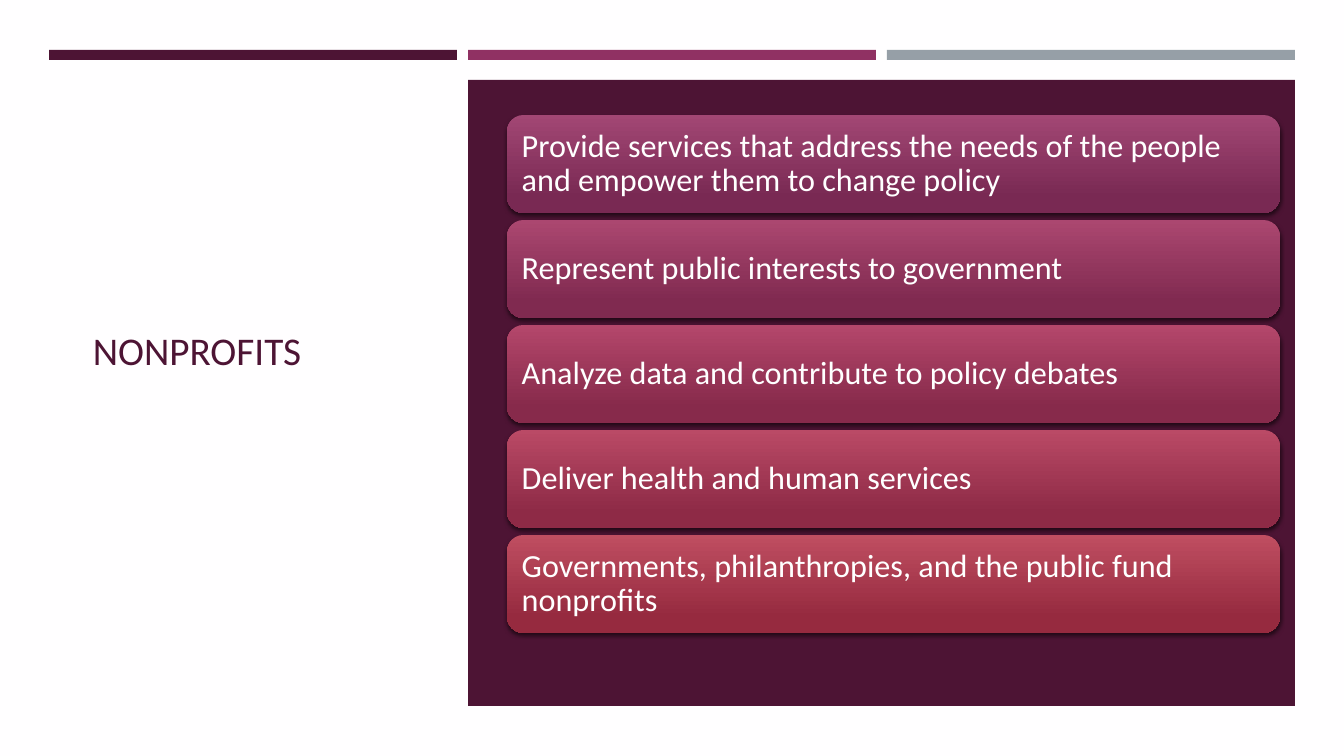
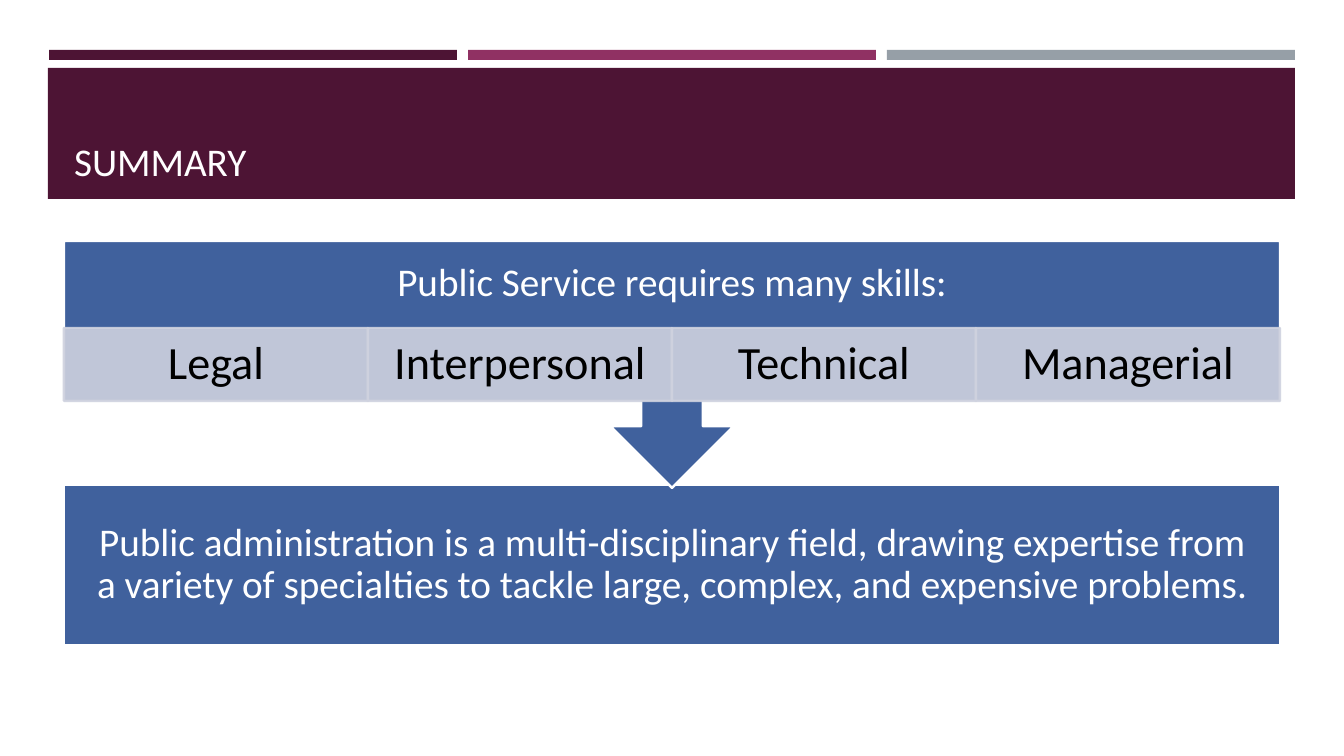
from lxml import etree
from pptx import Presentation
from pptx.dml.color import RGBColor
from pptx.enum.shapes import MSO_SHAPE
from pptx.enum.text import MSO_ANCHOR, MSO_AUTO_SIZE, PP_ALIGN
from pptx.oxml.ns import qn
from pptx.util import Pt

RECT = MSO_SHAPE.RECTANGLE
ROUND = MSO_SHAPE.ROUNDED_RECTANGLE
CALLOUT = MSO_SHAPE.DOWN_ARROW_CALLOUT
LEFT, CENTER = PP_ALIGN.LEFT, PP_ALIGN.CENTER
MIDDLE, BOTTOM = MSO_ANCHOR.MIDDLE, MSO_ANCHOR.BOTTOM
PX = 914400 / 100.8


class Theme:
    font = "Calibri"
    plum, rose, gray = "4D1434", "903163", "969FA7"
    blue, mist = "40619D", "CFD2DF"
    paper, white, black = "FFFEFF", "FFFFFF", "000000"
    tiles = [("A24774", "792953"), ("AB4770", "802A50"), ("B4476B", "872A4B"),
             ("BA4A66", "8E2A46"), ("BF4E61", "962A3F")]
    title, item, skill = 28, 23, 33
    line = 1.75


def box(slide, kind, place, fill, line=None):
    """Add a flat shape at (left, top, width, height) in px."""
    shape = slide.shapes.add_shape(kind, *[round(n * PX) for n in place])
    shape.shadow.inherit = False
    shape.fill.solid()
    shape.fill.fore_color.rgb = RGBColor.from_string(fill)
    if line:
        shape.line.color.rgb = RGBColor.from_string(line)
        shape.line.width = Pt(Theme.line)
    else:
        shape.line.fill.background()
    return shape


def write(shape, text, size, color, align=LEFT, anchor=MIDDLE, pad=(10, 5, 10, 5)):
    """Set one paragraph of text; pad is left, top, right, bottom in px."""
    frame = shape.text_frame
    frame.word_wrap = True
    frame.auto_size = MSO_AUTO_SIZE.NONE
    frame.vertical_anchor = anchor
    (frame.margin_left, frame.margin_top,
     frame.margin_right, frame.margin_bottom) = [round(n * PX) for n in pad]
    para = frame.paragraphs[0]
    para.alignment = align
    para.line_spacing = 0.9
    run = para.add_run()
    run.text = text
    run.font.name = Theme.font
    run.font.size = Pt(size)
    run.font.color.rgb = RGBColor.from_string(color)


deck = Presentation()
deck.slide_width, deck.slide_height = round(1344 * PX), round(756 * PX)

# Shared frame: background, top bars, main block and title
frames = [
    ("NONPROFITS", Theme.paper, (468, 80, 827, 626), (83, 115, 337, 476), Theme.plum, MIDDLE),
    ("SUMMARY", Theme.white, (48, 68, 1247, 131), (64, 78, 1216, 112), Theme.paper, BOTTOM),
]
slides = []
for text, back, block, place, color, anchor in frames:
    slide = deck.slides.add_slide(deck.slide_layouts[5])
    slide.background.fill.solid()
    slide.background.fill.fore_color.rgb = RGBColor.from_string(back)
    for i, fill in enumerate((Theme.plum, Theme.rose, Theme.gray)):
        box(slide, RECT, (49 + 419 * i, 50, 408, 10), fill)
    box(slide, RECT, block, Theme.plum)
    title = slide.shapes.title
    title.left, title.top, title.width, title.height = [round(n * PX) for n in place]
    write(title, text, Theme.title, color, anchor=anchor)
    slide.shapes._spTree.append(title._element)  # bring title to front
    slides.append(slide)
first, last = slides

# Nonprofits: stacked gradient tiles with a soft shadow
items = [
    "Provide services that address the needs of the people and empower them to change policy",
    "Represent public interests to government",
    "Analyze data and contribute to policy debates",
    "Deliver health and human services",
    "Governments, philanthropies, and the public fund nonprofits",
]
for i, (text, (light, dark)) in enumerate(zip(items, Theme.tiles)):
    tile = box(first, ROUND, (507, 115 + 105 * i, 773, 98), light)
    tile.fill.gradient()
    tile.fill.gradient_angle = 270
    for stop, color, spot in zip(tile.fill.gradient_stops, (light, dark), (0, 0.84)):
        stop.color.rgb = RGBColor.from_string(color)
        stop.position = spot
    effects = tile._element.spPr.find(qn("a:effectLst"))
    shade = etree.SubElement(effects, qn("a:outerShdw"), blurRad=str(Pt(3)),
                             dist=str(Pt(2)), dir="5400000", rotWithShape="0")
    tint = etree.SubElement(shade, qn("a:srgbClr"), val=Theme.black)
    etree.SubElement(tint, qn("a:alpha"), val="55000")
    write(tile, text, Theme.item, Theme.white, pad=(10, 10, 10, 10))

# Summary: conclusion below, callout above
result = box(last, RECT, (64, 485, 1216, 160), Theme.blue, Theme.white)
write(result, "Public administration is a multi-disciplinary field, drawing expertise from "
      "a variety of specialties to tackle large, complex, and expensive problems.",
      Theme.title, Theme.white, CENTER, pad=(22, 22, 22, 22))
need = box(last, CALLOUT, (64, 241, 1216, 247), Theme.blue, Theme.white)
write(need, "Public Service requires many skills:", Theme.title, Theme.white,
      CENTER, pad=(22, 22, 22, 96))

# Row of translucent skill cells
for i, text in enumerate(("Legal", "Interpersonal", "Technical", "Managerial")):
    cell = box(last, RECT, (64 + 304 * i, 328, 304, 73), Theme.mist, Theme.mist)
    for tint in cell._element.spPr.findall(".//" + qn("a:srgbClr")):
        etree.SubElement(tint, qn("a:alpha"), val="90000")
    write(cell, text, Theme.skill, Theme.black, CENTER, pad=(26, 5, 26, 5))

deck.save("out.pptx")
